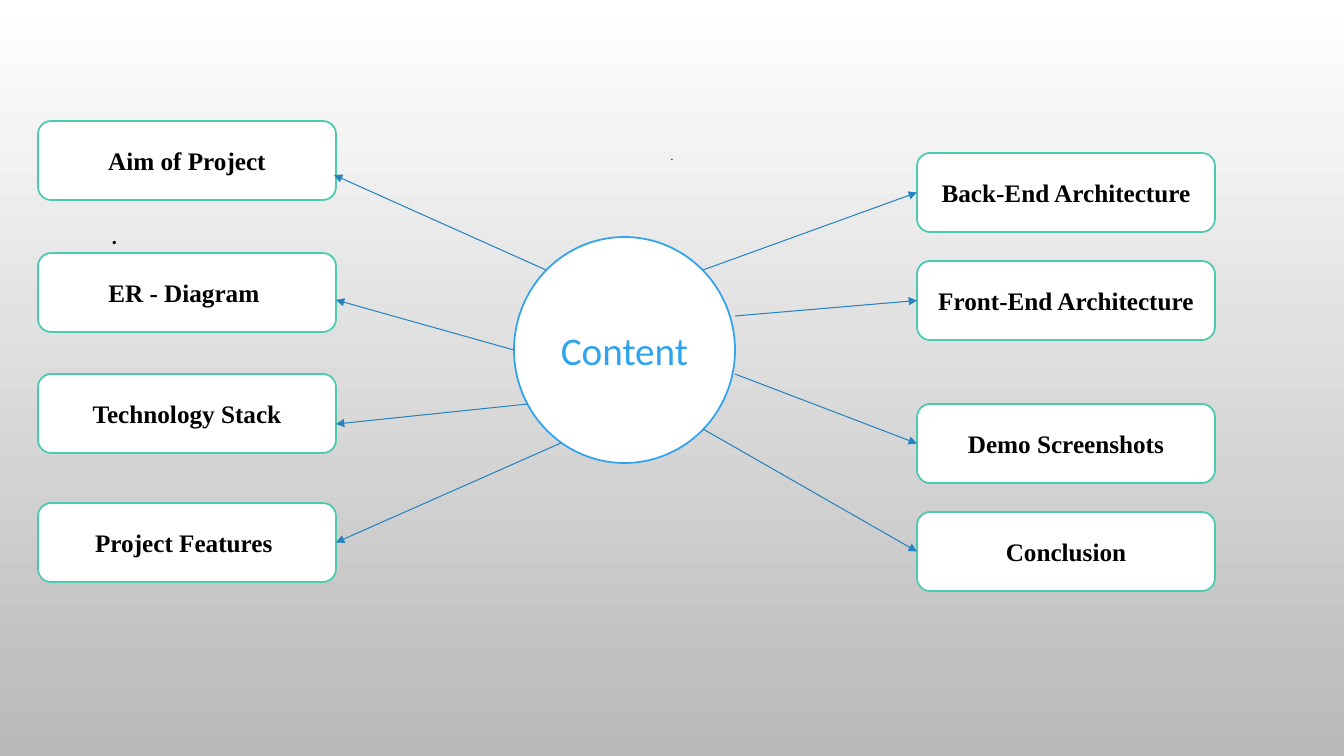
from lxml import etree
from pptx import Presentation
from pptx import util as u
from pptx.dml.color import RGBColor
from pptx.enum import shapes, text
from pptx.oxml.ns import qn

PX = 12192000 / 1344  # EMU per px

WHITE = RGBColor(0xFF, 0xFF, 0xFF)
GREY = RGBColor(0xB9, 0xB9, 0xB9)
BLACK = RGBColor(0, 0, 0)
BLUE = RGBColor(0x2F, 0xA3, 0xEE)
GREEN = RGBColor(0x4B, 0xCA, 0xAD)
ARROW_BLUE = RGBColor(0x26, 0x83, 0xBF)

BOX_WIDTH, BOX_HEIGHT = 298, 79
LEFT_X, RIGHT_X = 38, 917

# Label, box top, arrow start on the circle, arrow end (None: middle of the side)
LEFT_TOPICS = [
    ("Aim of Project", 121, (546, 270), (334, 175)),
    ("ER - Diagram ", 253, (514, 350), (336, 300)),
    ("Technology Stack", 374, (528, 404), (336, 424)),
    ("Project Features ", 503, (561, 443), None),
]
RIGHT_TOPICS = [
    ("Back-End Architecture", 153, (703, 270), None),
    ("Front-End Architecture", 261, (735, 316), None),
    ("Demo Screenshots", 404, (735, 374), None),
    ("Conclusion", 512, (703, 429), None),
]


def px(*lengths):
    return [u.Emu(round(length * PX)) for length in lengths]


def write(box, words, size, font, color, bold=False,
          align=text.PP_ALIGN.CENTER, anchor=text.MSO_ANCHOR.MIDDLE, spacing=1.0):
    frame = box.text_frame
    frame.text = words
    frame.word_wrap = True
    frame.vertical_anchor = anchor
    para = frame.paragraphs[0]
    para.alignment = align
    para.line_spacing = spacing
    span = para.runs[0]
    span.font.size = u.Pt(size)
    span.font.name = font
    span.font.bold = bold
    span.font.color.rgb = color


def add_outlined(page, kind, place, color):
    shape = page.shapes.add_shape(kind, *px(*place))
    shape.shadow.inherit = False
    shape.fill.solid()
    shape.fill.fore_color.rgb = WHITE
    shape.line.color.rgb = color
    shape.line.width = u.Pt(1.25)
    return shape


def add_arrow(page, start, end, box, side):
    target = end or start
    arrow = page.shapes.add_connector(
        shapes.MSO_CONNECTOR.STRAIGHT, *px(*start, *target))
    if end is None:
        arrow.end_connect(box, side)
    arrow.line.color.rgb = ARROW_BLUE
    arrow.line.width = u.Pt(0.75)
    line = arrow.line._get_or_add_ln()
    etree.SubElement(line, qn("a:tailEnd"), type="triangle")
    etree.SubElement(arrow._element.spPr, qn("a:effectLst"))


def add_topics(page, topics, left, side):
    arrows = []
    for label, top, start, end in topics:
        box = add_outlined(page, shapes.MSO_SHAPE.ROUNDED_RECTANGLE,
                           (left, top, BOX_WIDTH, BOX_HEIGHT), GREEN)
        write(box, label, 18, "Times New Roman", BLACK, bold=True)
        arrows.append((start, end, box, side))
    for arrow in arrows:
        add_arrow(page, *arrow)


def paint_background(page):
    fill = page.background.fill
    fill.gradient()
    fill.gradient_angle = 270
    for stop, color in zip(fill.gradient_stops, (WHITE, GREY)):
        stop.color.rgb = color


def main():
    deck = Presentation()
    deck.slide_width, deck.slide_height = px(1344, 756)
    page = deck.slides.add_slide(deck.slide_layouts[6])
    paint_background(page)

    # Title and body dots
    title = page.shapes.add_textbox(*px(101, 69, 1142, 176))
    write(title, ".", 8, "Calibri", BLACK, spacing=0.9)
    body = page.shapes.add_textbox(*px(101, 205, 1142, 377))
    write(body, ".", 20, "Calibri", BLACK, align=text.PP_ALIGN.LEFT,
          anchor=text.MSO_ANCHOR.TOP, spacing=1.2)

    # Central circle
    hub = add_outlined(page, shapes.MSO_SHAPE.OVAL, (514, 237, 221, 226), BLUE)
    write(hub, "Content", 28, "Calibri", BLUE)

    # Topics with arrows to their facing sides
    add_topics(page, LEFT_TOPICS, LEFT_X, side=3)
    add_topics(page, RIGHT_TOPICS, RIGHT_X, side=1)

    deck.save("out.pptx")


if __name__ == "__main__":
    main()
